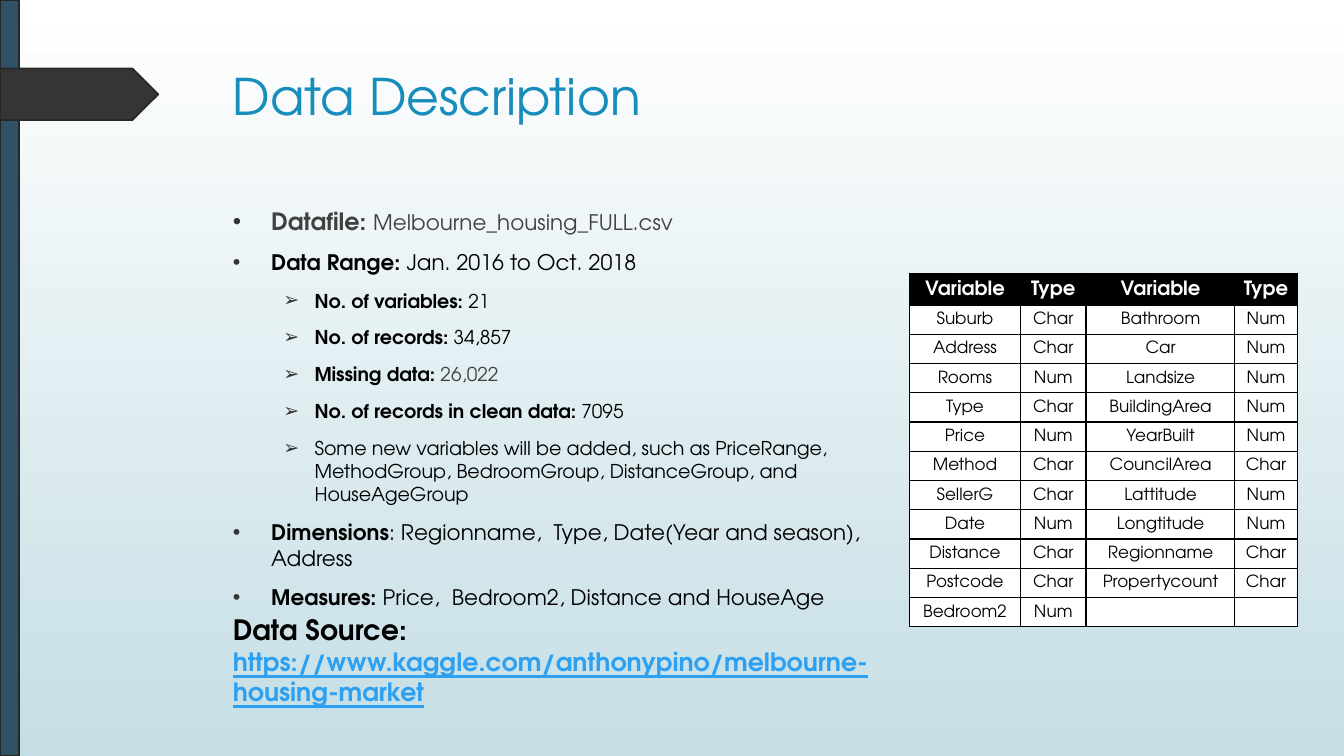
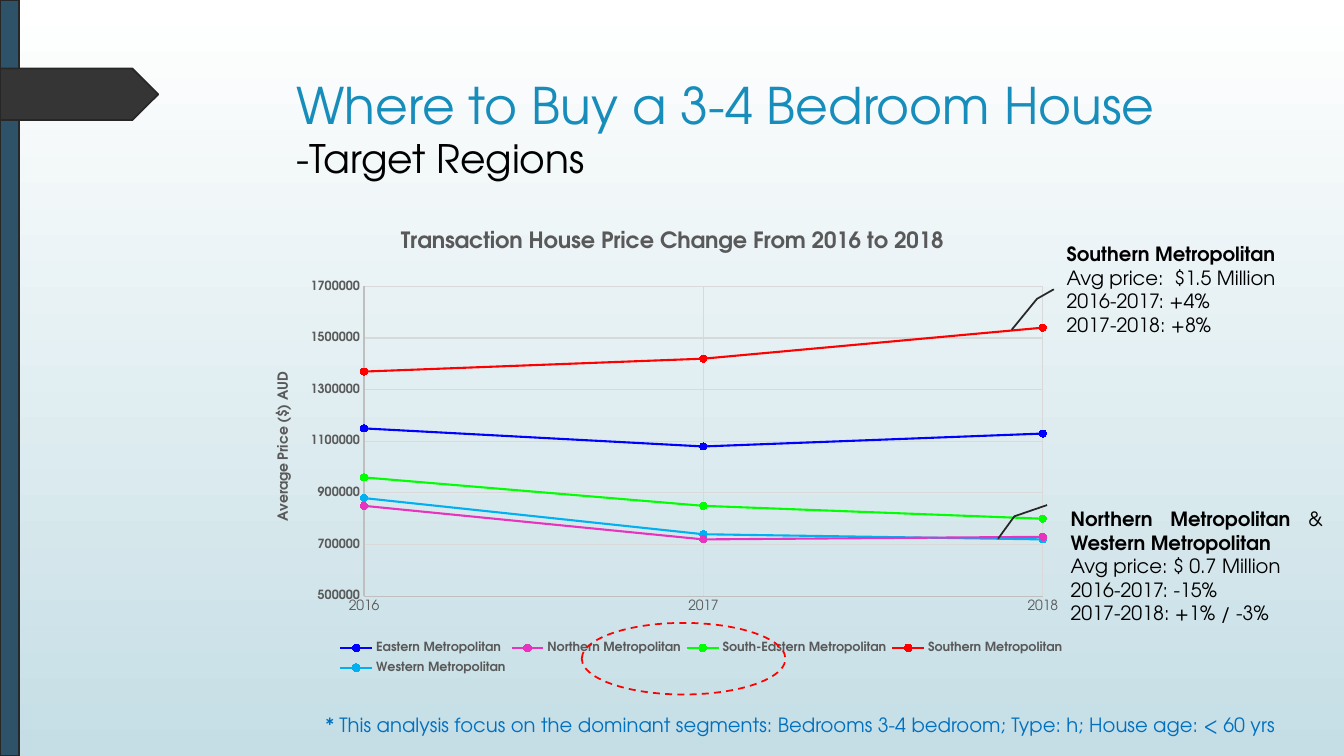
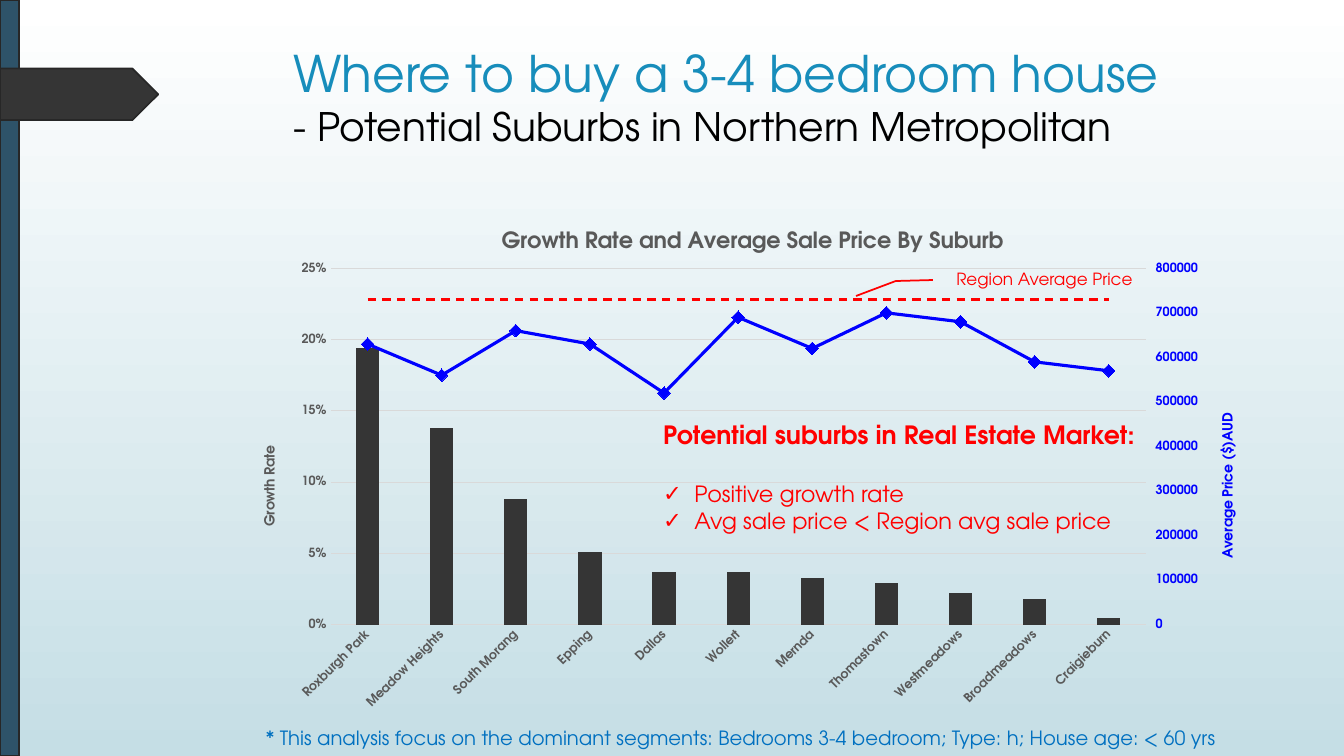
import collections
import dataclasses

import pptx
import pptx.chart.axis
import pptx.chart.data
import pptx.dml.color
import pptx.enum.chart
import pptx.enum.dml
import pptx.enum.shapes
import pptx.enum.text
import pptx.oxml
import pptx.oxml.ns
import pptx.util

Pt = pptx.util.Pt
Inches = pptx.util.Inches
qn = pptx.oxml.ns.qn
SHAPE = pptx.enum.shapes.MSO_SHAPE
ALIGN = pptx.enum.text.PP_ALIGN
CHART = pptx.enum.chart.XL_CHART_TYPE
TICK = pptx.enum.chart.XL_TICK_MARK
MARKER = pptx.enum.chart.XL_MARKER_STYLE
DASH = pptx.enum.dml.MSO_LINE.DASH


@dataclasses.dataclass(frozen=True)
class Theme:
    font: str = "TeX Gyre Adventor"
    title: str = "178DBB"
    text: str = "000000"
    soft: str = "404040"
    link: str = "2DA0F1"
    note: str = "0070C0"
    white: str = "FFFFFF"
    sky: str = "C5DEE5"
    band: str = "2E5369"
    dark: str = "353535"
    edge: str = "272727"
    label: str = "595959"
    grid: str = "D9D9D9"
    axis: str = "BFBFBF"
    red: str = "FF0000"
    blue: str = "0000FF"
    title_size: float = 36
    subtitle_size: float = 28
    heading_size: float = 18
    chart_title_size: float = 16
    callout_size: float = 14
    small_size: float = 12
    axis_title_size: float = 10
    axis_size: float = 9


T = Theme()
NOTE = ("* This analysis focus on the dominant segments: "
        "Bedrooms 3-4 bedroom; Type: h; House age: < 60 yrs")


class Box(collections.namedtuple("Box", "x y w h")):
    """A region; cut() takes percentages of its width and height."""

    def cut(self, x, y, w, h):
        return Box(int(self.x + self.w * x / 100), int(self.y + self.h * y / 100),
                   int(self.w * w / 100), int(self.h * h / 100))


# Text helpers
def rgb(color):
    return pptx.dml.color.RGBColor.from_string(color)


def set_font(font, size, color=T.text, bold=False):
    font.name = T.font
    font.size = Pt(size)
    font.bold = bold
    font.color.rgb = rgb(color)


def write(tf, paragraphs, align=ALIGN.LEFT):
    """Each paragraph is a list of runs: (text, size, color, bold)."""
    tf.word_wrap = True
    for i, runs in enumerate(paragraphs):
        p = tf.add_paragraph() if i else tf.paragraphs[0]
        p.alignment = align
        for text, *style in runs:
            r = p.add_run()
            r.text = text
            set_font(r.font, *style)
    return tf.paragraphs


def add_bullet(p, char, color, left, hanging):
    pPr = p._p.get_or_add_pPr()
    pPr.set("marL", str(Inches(left)))
    pPr.set("indent", str(-Inches(hanging)))
    for xml in (f'<a:buClr %s><a:srgbClr val="{color}"/></a:buClr>',
                '<a:buFont %s typeface="Arial"/>',
                f'<a:buChar %s char="{char}"/>'):
        pPr.append(make_xml(xml, "a"))


def make_xml(xml, *prefixes):
    return pptx.oxml.parse_xml(xml % pptx.oxml.ns.nsdecls(*prefixes))


# Shape helpers
def set_line(line, color, width, dash=None):
    line.color.rgb = rgb(color)
    line.width = Pt(width)
    if dash:
        line.dash_style = dash


def add_shape(slide, kind, box, fill=None, line=T.edge, dash=None):
    sp = slide.shapes.add_shape(kind, *box)
    sp.shadow.inherit = False
    if fill:
        sp.fill.solid()
        sp.fill.fore_color.rgb = rgb(fill)
    else:
        sp.fill.background()
    set_line(sp.line, line, 1.25, dash)
    return sp


def add_callout(slide, box, leader, paragraphs, align=ALIGN.LEFT, line=T.edge):
    sp = add_shape(slide, SHAPE.LINE_CALLOUT_2_NO_BORDER, box, line=line)
    for i, value in enumerate(leader):
        sp.adjustments[i] = value
    sp.text_frame.vertical_anchor = pptx.enum.text.MSO_ANCHOR.MIDDLE
    write(sp.text_frame, paragraphs, align)


def add_text(slide, box, paragraphs):
    return write(slide.shapes.add_textbox(*box).text_frame, paragraphs)


# Elements shared by all slides
def style_master(prs):
    fill = prs.slide_master.background.fill
    fill.gradient()
    fill.gradient_angle = 270
    for stop, color, position in zip(fill.gradient_stops, (T.white, T.sky), (0, 1)):
        stop.color.rgb = rgb(color)
        stop.position = position
    style = prs.slide_master.element.find(f".//{qn('p:titleStyle')}/{qn('a:lvl1pPr')}")
    style.set("algn", "l")
    style.find(qn("a:defRPr")).set("sz", str(T.title_size * 100))


def new_slide(prs, layout, page, title_at, title):
    slide = prs.slides.add_slide(prs.slide_layouts[layout])
    add_shape(slide, SHAPE.RECTANGLE, page.cut(0, 0, 1.43, 100), T.band)
    add_shape(slide, SHAPE.PENTAGON, page.cut(0, 9.07, 11.78, 6.8), T.dark)
    sp = slide.shapes.title
    place(sp, page.cut(*title_at, 73.14, 18.67))
    p = sp.text_frame.paragraphs[0]
    p.text = title
    for r, size, color in zip(p.runs, (T.title_size, T.subtitle_size), (T.title, T.text)):
        set_font(r.font, size, color)
    return slide


def place(sp, box):
    sp.left, sp.top, sp.width, sp.height = box
    tf = sp.text_frame
    tf.auto_size = pptx.enum.text.MSO_AUTO_SIZE.NONE
    tf.vertical_anchor = pptx.enum.text.MSO_ANCHOR.TOP


def add_note(slide, box):
    add_text(slide, box, [[(NOTE, T.callout_size, T.note)]])


# Data description
def add_facts(slide, box):
    main, sub = 15.3, 13.6
    facts = [
        (0, [("Datafile: ", 17, T.soft, True), ("Melbourne_housing_FULL.csv", main, T.soft)]),
        (0, [("Data Range: ", main, T.text, True), ("Jan. 2016 to Oct. 2018", main)]),
        (1, [("No. of variables: ", sub, T.text, True), ("21", sub)]),
        (1, [("No. of records: ", sub, T.text, True), ("34,857", sub)]),
        (1, [("Missing data: ", sub, T.text, True), ("26,022", sub, T.soft)]),
        (1, [("No. of records in clean data: ", sub, T.text, True), ("7095", sub)]),
        (1, [("Some new variables will be added, such as PriceRange, MethodGroup, "
              "BedroomGroup, DistanceGroup, and HouseAgeGroup", sub)]),
        (0, [("Dimensions", main, T.text, True),
             (": Regionname,  Type, Date(Year and season), Address", main)]),
        (0, [("Measures: ", main, T.text, True),
             ("Price,  Bedroom2, Distance and HouseAge", main)]),
    ]
    sp = slide.placeholders[1]
    place(sp, box)
    paragraphs = write(sp.text_frame, [runs for _, runs in facts])
    for i, (p, (level, _)) in enumerate(zip(paragraphs, facts)):
        p.level = level
        p.space_before = Pt(10 if i else 0)
        add_bullet(p, *(("➢", T.dark, 0.81, 0.31) if level else ("•", T.dark, 0.38, 0.38)))


def add_variable_table(slide, box, first_share, rows):
    table = slide.shapes.add_table(len(rows), 2, *box).table
    table.horz_banding = False
    for column, share in zip(table.columns, (first_share, 1 - first_share)):
        column.width = int(box.w * share)
    header = int(box.h * 0.09)
    for i, row in enumerate(rows):
        table.rows[i].height = int((box.h - header) / (len(rows) - 1)) if i else header
        size, color, fill = ((T.small_size, T.text, T.white) if i
                             else (T.callout_size, T.white, T.text))
        for cell, text in zip(table.rows[i].cells, row):
            cell.margin_left = cell.margin_right = Inches(0.04)
            cell.margin_top = cell.margin_bottom = 0
            cell.vertical_anchor = pptx.enum.text.MSO_ANCHOR.MIDDLE
            runs = [(text, size, color, i == 0)] if text else []
            p = write(cell.text_frame, [runs], ALIGN.CENTER)[0]
            p.line_spacing, p.space_after = 1.07, Pt(3)
            p._p.get_or_add_endParaRPr().set("sz", str(size * 100))
            for side in "LRTB":
                cell._tc.get_or_add_tcPr().append(make_xml(
                    f'<a:ln{side} %s w="12700"><a:solidFill><a:srgbClr val="{T.text}"/>'
                    f'</a:solidFill></a:ln{side}>', "a"))
            cell.fill.solid()
            cell.fill.fore_color.rgb = rgb(fill)


def add_variables(slide, box):
    head = ("Variable", "Type")
    left = [head, ("Suburb", "Char"), ("Address", "Char"), ("Rooms", "Num"),
            ("Type", "Char"), ("Price", "Num"), ("Method", "Char"), ("SellerG", "Char"),
            ("Date", "Num"), ("Distance", "Char"), ("Postcode", "Char"), ("Bedroom2", "Num")]
    right = [head, ("Bathroom", "Num"), ("Car", "Num"), ("Landsize", "Num"),
             ("BuildingArea", "Num"), ("YearBuilt", "Num"), ("CouncilArea", "Char"),
             ("Lattitude", "Num"), ("Longtitude", "Num"), ("Regionname", "Char"),
             ("Propertycount", "Char"), ("", "")]
    add_variable_table(slide, box.cut(0, 0, 45.45, 100), 0.63, left)
    add_variable_table(slide, box.cut(45.7, 0, 54.3, 100), 0.7, right)


def data_slide(prs, page):
    slide = new_slide(prs, 1, page, (16.58, 8), "Data Description")
    add_facts(slide, page.cut(16.58, 26.67, 48.54, 52.4))
    add_variables(slide, page.cut(67.67, 36.13, 28.88, 46.8))
    source = add_text(slide, page.cut(16.58, 80.4, 54.01, 13.87), [
        [("Data Source:", 20, T.text, True)],
        [("https://www.kaggle.com/anthonypino/melbourne-housing-market",
          T.heading_size, T.link, True)]])
    source[1].runs[0].font.underline = True


# Chart helpers
def set_layout(parent, index, x, y, w, h, inner=False):
    for old in parent.findall(qn("c:layout")):
        parent.remove(old)
    target = '<c:layoutTarget val="inner"/>' if inner else ""
    modes = "".join(f'<c:{k}Mode val="edge"/>' for k in "xy")
    sizes = "".join(f'<c:{k} val="{v}"/>' for k, v in zip("xywh", (x, y, w, h)))
    parent.insert(index, make_xml(
        f"<c:layout %s><c:manualLayout>{target}{modes}{sizes}</c:manualLayout></c:layout>", "c"))


def add_chart(slide, kind, box, data, title, plot):
    chart = slide.shapes.add_chart(kind, *box, data).chart
    set_font(chart.font, T.axis_title_size)
    chart.has_legend = False
    chart.has_title = True
    chart.chart_title.include_in_layout = False
    tf = chart.chart_title.text_frame
    tf.text = title
    set_font(tf.paragraphs[0].runs[0].font, T.chart_title_size, T.label, True)
    chart.plots[0].vary_by_categories = False
    area = chart._chartSpace.chart.plotArea
    set_layout(area, 0, *plot, inner=True)
    clear = "<c:spPr %s><a:noFill/><a:ln><a:noFill/></a:ln></c:spPr>"
    area.append(make_xml(clear, "c", "a"))
    chart._chartSpace.chart.addnext(make_xml(clear, "c", "a"))
    return chart, area


def style_axis(axis, scale=None, title=None, color=T.label, size=T.axis_size, bold=True,
               line=None, grid=False, fmt=None, tick=TICK.NONE):
    axis.major_tick_mark, axis.minor_tick_mark = tick, TICK.NONE
    set_font(axis.tick_labels.font, size, color, bold)
    if scale:
        axis.minimum_scale, axis.maximum_scale, axis.major_unit = scale
    if fmt:
        axis.tick_labels.number_format = fmt
        axis.tick_labels.number_format_is_linked = False
    if line:
        set_line(axis.format.line, line, 0.75)
    else:
        axis.format.line.fill.background()
    axis.has_major_gridlines = grid
    if grid:
        set_line(axis.major_gridlines.format.line, T.grid, 0.75)
    if title:
        tf = axis.axis_title.text_frame
        tf.text = title
        tf._txBody.bodyPr.set("rot", "-5400000")
        tf._txBody.bodyPr.set("vert", "horz")
        set_font(tf.paragraphs[0].runs[0].font, T.axis_title_size, color, True)


def style_series(ser, color, width, marker, size=5, dash=None):
    set_line(ser.format.line, color, width, dash)
    ser.marker.style = marker
    if marker != MARKER.NONE:
        ser.marker.size = size
        ser.marker.format.fill.solid()
        ser.marker.format.fill.fore_color.rgb = rgb(color)
        ser.marker.format.line.color.rgb = rgb(color)


# Target regions
def add_region_chart(slide, box):
    regions = [
        ("Eastern Metropolitan", T.blue, (1150000, 1080000, 1130000)),
        ("Northern Metropolitan", "E833BF", (850000, 720000, 730000)),
        ("South-Eastern Metropolitan", "00FF00", (960000, 850000, 800000)),
        ("Southern Metropolitan", T.red, (1370000, 1420000, 1540000)),
        ("Western Metropolitan", "00B0F0", (880000, 740000, 720000)),
    ]
    data = pptx.chart.data.XyChartData()
    for name, _, prices in regions:
        ser = data.add_series(name)
        for year, price in zip((2016, 2017, 2018), prices):
            ser.add_data_point(year, price)
    chart, _ = add_chart(slide, CHART.XY_SCATTER_LINES, box, data,
                         "Transaction House Price Change From 2016 to 2018",
                         (0.126, 0.161, 0.823, 0.65))
    for ser, (_, color, _) in zip(chart.plots[0].series, regions):
        style_series(ser, color, 1.5, MARKER.CIRCLE)
    style_axis(chart.category_axis, (2016, 2018, 1), size=T.axis_title_size, bold=False,
               line=T.axis, grid=True, fmt="General")
    style_axis(chart.value_axis, (500000, 1700000, 200000), "Average Price ($) AUD",
               line=T.axis, grid=True, fmt="General")
    chart.has_legend = True
    chart.legend.position = pptx.enum.chart.XL_LEGEND_POSITION.RIGHT
    chart.legend.include_in_layout = False
    set_font(chart.legend.font, T.axis_size, T.label, True)
    set_layout(chart.legend._element, 1, 0.09, 0.89, 0.89, 0.1)


def regions_slide(prs, page):
    slide = new_slide(prs, 5, page, (21.31, 9.07),
                      "Where to Buy a 3-4 Bedroom House\v-Target Regions")
    add_region_chart(slide, page.cut(19.35, 27.73, 61.37, 63.07))
    size = T.callout_size
    add_callout(slide, page.cut(78.62, 31.2, 20.93, 14.13),
                (0.5, -0.01, 0.59, -0.07, 0.88, -0.16),
                [[("Southern Metropolitan", size, T.text, True)],
                 [("Avg price:  $1.5 Million", size)],
                 [("2016-2017: +4%", size)], [("2017-2018: +8%", size)]])
    add_callout(slide, page.cut(78.92, 64.27, 20.26, 21.2),
                (0.12, -0.05, 0.19, -0.17, 0.33, -0.23),
                [[("Northern Metropolitan ", size, T.text, True), ("& ", size),
                  ("Western Metropolitan", size, T.text, True)],
                 [("Avg price: $ 0.7 Million", size)],
                 [("2016-2017: -15%", size)], [("2017-2018: +1% / -3%", size)]],
                ALIGN.JUSTIFY)
    add_note(slide, page.cut(23.48, 93.6, 73.22, 4.53))
    add_shape(slide, SHAPE.OVAL, page.cut(43.29, 82.4, 15.15, 9.47), line=T.red, dash=DASH)


# Potential suburbs
def move_to_right_axis(area):
    """Turn all series but the first into lines on a second value axis."""
    bar = area.find(qn("c:barChart"))
    lines = make_xml('<c:lineChart %s><c:grouping val="standard"/><c:varyColors val="0"/>'
                     '<c:marker val="1"/><c:axId val="501"/><c:axId val="502"/>'
                     '</c:lineChart>', "c")
    for ser in bar.findall(qn("c:ser"))[1:]:
        for flag in ser.findall(qn("c:invertIfNegative")):
            ser.remove(flag)
        lines.find(qn("c:marker")).addprevious(ser)
    bar.addnext(lines)
    scaling = '<c:scaling><c:orientation val="minMax"/></c:scaling>'
    cat = make_xml(f'<c:catAx %s><c:axId val="501"/>{scaling}<c:delete val="1"/>'
                   '<c:axPos val="b"/><c:crossAx val="502"/><c:crosses val="autoZero"/>'
                   '</c:catAx>', "c")
    val = make_xml(f'<c:valAx %s><c:axId val="502"/>{scaling}<c:delete val="0"/>'
                   '<c:axPos val="r"/><c:tickLblPos val="nextTo"/><c:crossAx val="501"/>'
                   '<c:crosses val="max"/></c:valAx>', "c")
    area.find(qn("c:valAx")).addnext(val)
    val.addnext(cat)
    return pptx.chart.axis.ValueAxis(val)


def add_suburb_chart(slide, box):
    data = pptx.chart.data.CategoryChartData()
    data.categories = ["Roxburgh Park", "Meadow Heights", "South Morang", "Epping", "Dallas",
                       "Wollert", "Mernda", "Thomastown", "Westmeadows", "Broadmeadows",
                       "Craigieburn"]
    data.add_series("Series 1", (0.194, 0.138, 0.088, 0.051, 0.037, 0.037, 0.033, 0.029,
                                 0.022, 0.018, 0.005))
    data.add_series("Series 2", (630000, 560000, 660000, 630000, 520000, 690000, 620000,
                                 700000, 680000, 590000, 570000))
    data.add_series("Series 3", [730000] * 11)
    chart, area = add_chart(slide, CHART.COLUMN_CLUSTERED, box, data,
                            "Growth Rate and Average Sale Price By Suburb",
                            (0.075, 0.114, 0.821, 0.692))
    style_axis(chart.category_axis, line=T.grid)
    chart.category_axis._element.get_or_add_txPr().bodyPr.set("rot", "-2700000")
    style_axis(chart.value_axis, (0, 0.25, 0.05), "Growth Rate", grid=True, fmt="0%")
    right = move_to_right_axis(area)
    style_axis(right, (0, 800000, 100000), "Average Price ($)AUD", T.blue,
               fmt="General", tick=TICK.OUTSIDE)
    columns, lines = chart.plots
    columns.gap_width = 219
    columns.series[0].format.fill.solid()
    columns.series[0].format.fill.fore_color.rgb = rgb(T.dark)
    price, average = lines.series
    style_series(price, T.blue, 2.25, MARKER.DIAMOND, 9)
    style_series(average, T.red, 1.5, MARKER.NONE, dash=DASH)
    price.smooth = average.smooth = False


def suburbs_slide(prs, page):
    slide = new_slide(prs, 5, page, (21.08, 4.93), "Where to buy a 3-4 bedroom house\v"
                      "- Potential Suburbs in Northern Metropolitan")
    add_suburb_chart(slide, page.cut(19.05, 27.73, 73.89, 68.13))
    add_callout(slide, page.cut(68.49, 34.67, 18.45, 4.4),
                (0.54, 0.05, 0.57, -0.1, 1.02, -0.26),
                [[("Region Average Price", T.small_size, T.red)]], ALIGN.CENTER, T.red)
    criteria = add_text(slide, page.cut(48.61, 54.8, 36.98, 16.67), [
        [("Potential suburbs in Real Estate Market:", T.heading_size, T.red, True)],
        [("Positive growth rate", 16, T.red)],
        [("Avg sale price < Region avg sale price", 16, T.red)]])
    for p in criteria[1:]:
        add_bullet(p, "✓", T.red, 0.31, 0.31)
    criteria[1].space_before = Pt(22)
    add_note(slide, page.cut(19.05, 95.33, 73.22, 4.53))


def main():
    prs = pptx.Presentation()
    prs.slide_width, prs.slide_height = Inches(13.33), Inches(7.5)
    page = Box(0, 0, prs.slide_width, prs.slide_height)
    style_master(prs)
    for build in (data_slide, regions_slide, suburbs_slide):
        build(prs, page)
    prs.save("out.pptx")


if __name__ == "__main__":
    main()
